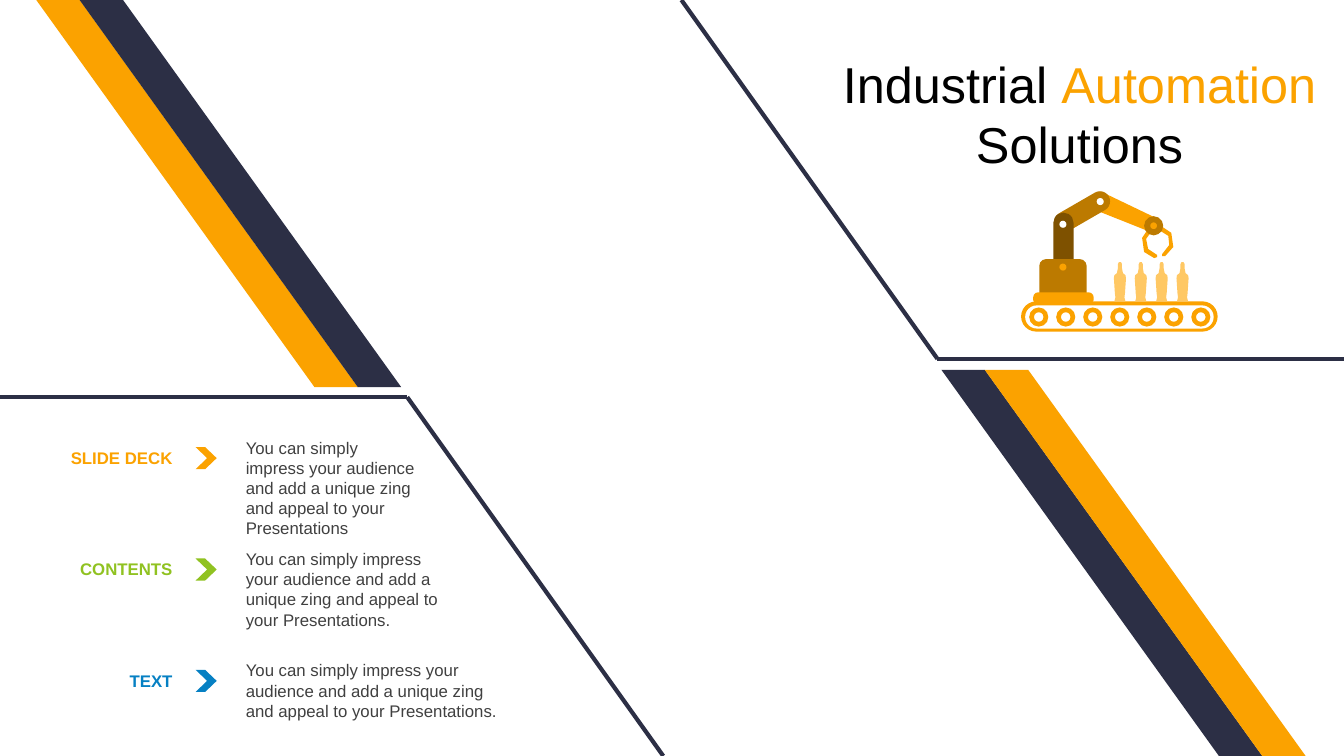
from pptx import Presentation
from pptx.dml.color import RGBColor
from pptx.enum.shapes import MSO_CONNECTOR as Connector, MSO_SHAPE as Preset
from pptx.enum.text import MSO_ANCHOR as Anchor, MSO_AUTO_SIZE as AutoSize, PP_ALIGN as Align
from pptx.oxml.ns import qn
from pptx.util import Inches, Pt

NAVY = RGBColor(0x2C, 0x2F, 0x45)
ORANGE = RGBColor(0xFB, 0xA2, 0x00)
OCHRE = RGBColor(0xBC, 0x7A, 0x00)
BROWN = RGBColor(0x7E, 0x51, 0x00)
SAND = RGBColor(0xFF, 0xC8, 0x64)
GREEN = RGBColor(0x90, 0xC2, 0x21)
BLUE = RGBColor(0x06, 0x80, 0xC3)
GREY = RGBColor(0x40, 0x40, 0x40)
BLACK = RGBColor(0, 0, 0)
WHITE = RGBColor(0xFF, 0xFF, 0xFF)

COLUMNS, ROWS = 133.33, 75


def write(box, spans, size=12, bold=False, align=Align.LEFT, anchor=Anchor.TOP):
    frame = box.text_frame
    frame.word_wrap = True
    frame.auto_size = AutoSize.SHAPE_TO_FIT_TEXT
    frame.vertical_anchor = anchor
    para = frame.paragraphs[0]
    para.alignment = align
    for text, color in spans:
        span = para.add_run()
        span.text = text
        span.font.name = Painter.font
        span.font.size = Pt(size)
        span.font.bold = bold
        span.font.color.rgb = color


class Painter:
    """Draws styled elements on one slide, measured in grid columns and rows."""

    font = "Arial"
    line_color = NAVY
    line_width = Pt(3)

    def __init__(self, deck):
        self.page = deck.slides.add_slide(deck.slide_layouts[6])
        self.column = deck.slide_width / COLUMNS
        self.row = deck.slide_height / ROWS

    def scale(self, *lengths):
        return [round(length * (self.row if index % 2 else self.column))
                for index, length in enumerate(lengths)]

    def paint(self, shape, color):
        shape.shadow.inherit = False
        shape.fill.solid()
        shape.fill.fore_color.rgb = color
        shape.line.fill.background()

    def shape(self, preset, place, color, adjust=(), rotation=0, flip=False):
        shape = self.page.shapes.add_shape(preset, *self.scale(*place))
        self.paint(shape, color)
        for index, value in enumerate(adjust):
            shape.adjustments[index] = value
        shape.rotation = rotation
        if flip:
            shape._element.spPr.find(qn("a:xfrm")).set("flipH", "1")

    def dot(self, x, y, color):
        self.shape(Preset.OVAL, (x - 0.35, y - 0.35, 0.7, 0.7), color)

    def outline(self, points, color):
        corners = [self.scale(*point) for point in points]
        builder = self.page.shapes.build_freeform(*corners[0], scale=1.0)
        builder.add_line_segments(corners[1:], close=True)
        self.paint(builder.convert_to_shape(), color)

    def line(self, start, end):
        line = self.page.shapes.add_connector(
            Connector.STRAIGHT, *self.scale(*start, *end))
        line.line.color.rgb = self.line_color
        line.line.width = self.line_width
        properties = line._element.spPr
        properties.append(properties.makeelement(qn("a:effectLst"), {}))

    def text(self, place, spans, **style):
        write(self.page.shapes.add_textbox(*self.scale(*place)), spans, **style)


def draw_frame(painter):
    bands = [(93.4, 36.7, NAVY), (97.7, 36.7, ORANGE), (3.6, 0, ORANGE), (7.9, 0, NAVY)]
    for left, top, color in bands:
        painter.shape(Preset.PARALLELOGRAM, (left, top, 31.9, 38.4), color,
                      adjust=[0.865], flip=True)
    for outer, corner, edge in [((67.6, 0), (93, 35.6), (133.33, 35.6)),
                                ((65.8, 75), (40.4, 39.4), (0, 39.4))]:
        painter.line(outer, corner)
        painter.line(edge, corner)


def draw_robot(painter):
    painter.shape(Preset.TRAPEZOID, (111, 18.1, 1.9, 6.3), ORANGE, [0.115], 113.7)
    painter.shape(Preset.ROUNDED_RECTANGLE, (104.3, 20, 6.1, 2), OCHRE, [0.5], 330)
    painter.dot(109.15, 20, WHITE)
    painter.shape(Preset.ROUND_2_SAME_RECTANGLE, (104.5, 21.1, 2, 6), BROWN, [0.5, 0])
    painter.dot(105.45, 22.25, WHITE)
    painter.outline([(115.3, 22.5), (116.2, 23.1), (116.4, 24.5), (115.6, 25.4), (115.3, 25.4),
                     (115.3, 25.2), (116, 24.3), (115.9, 23.4), (115.1, 22.9)], ORANGE)
    painter.outline([(113.9, 22.7), (113.3, 23.6), (113.5, 25), (114.5, 25.6), (114.8, 25.5),
                     (114.8, 25.3), (113.9, 24.7), (113.7, 23.7), (114.2, 23)], ORANGE)
    painter.shape(Preset.DONUT, (113.5, 21.45, 1.9, 1.9), OCHRE, [0.32])
    painter.shape(Preset.ROUND_2_SAME_RECTANGLE, (103.1, 25.7, 4.7, 3.8), OCHRE, [0.18, 0.08])
    painter.shape(Preset.ROUND_2_SAME_RECTANGLE, (102.5, 29, 6, 1), ORANGE, [0.5, 0.25])
    painter.dot(105.45, 26.5, ORANGE)


def draw_conveyor(painter):
    painter.shape(Preset.ROUNDED_RECTANGLE, (101.3, 29.9, 19.5, 3), ORANGE, [0.5])
    painter.shape(Preset.ROUNDED_RECTANGLE, (101.7, 30.3, 18.7, 2.3), WHITE, [0.5])
    for wheel in range(7):
        painter.shape(Preset.DONUT, (102.1 + 2.68 * wheel, 30.5, 1.9, 1.9), ORANGE)
    profile = [(0.1, 26), (0.2, 26.2), (0.2, 26.6), (0.3, 27.1), (0.55, 27.3), (0.6, 27.6),
               (0.5, 29.1), (0.45, 29.5), (0.55, 29.9)]
    for bottle in range(4):
        center = 111.1 + 2.07 * bottle
        right = [(center + half, y) for half, y in profile]
        left = [(center - half, y) for half, y in reversed(profile)]
        painter.outline(right + left, SAND)


def draw_points(painter):
    body = "You can simply impress your audience and add a unique zing and appeal to your Presentations"
    points = [("SLIDE DECK", body, ORANGE, 19.1, 11.1),
              ("CONTENTS", body + ".", GREEN, 22.2, 9.1),
              ("TEXT", body + ".", BLUE, 27.6, 7.1)]
    for index, (label, text, color, width, height) in enumerate(points):
        top = 42.9 + 11.05 * index
        painter.text((1.5, top + 1, 16.6, 3.1), [(label, color)], bold=True, align=Align.RIGHT)
        painter.text((23.4, top, width, height), [(text, GREY)])
        painter.shape(Preset.CHEVRON, (19.4, top + 1.45, 2.1, 2.2), color, [0.549])


def main():
    deck = Presentation()
    deck.slide_width, deck.slide_height = Inches(13.33), Inches(7.5)
    painter = Painter(deck)
    draw_frame(painter)
    painter.text((80.9, 4.7, 52.4, 13.1),
                 [("Industrial ", BLACK), ("Automation", ORANGE), (" Solutions", BLACK)],
                 size=36, align=Align.CENTER, anchor=Anchor.MIDDLE)
    draw_robot(painter)
    draw_conveyor(painter)
    draw_points(painter)
    deck.save("out.pptx")


if __name__ == "__main__":
    main()
